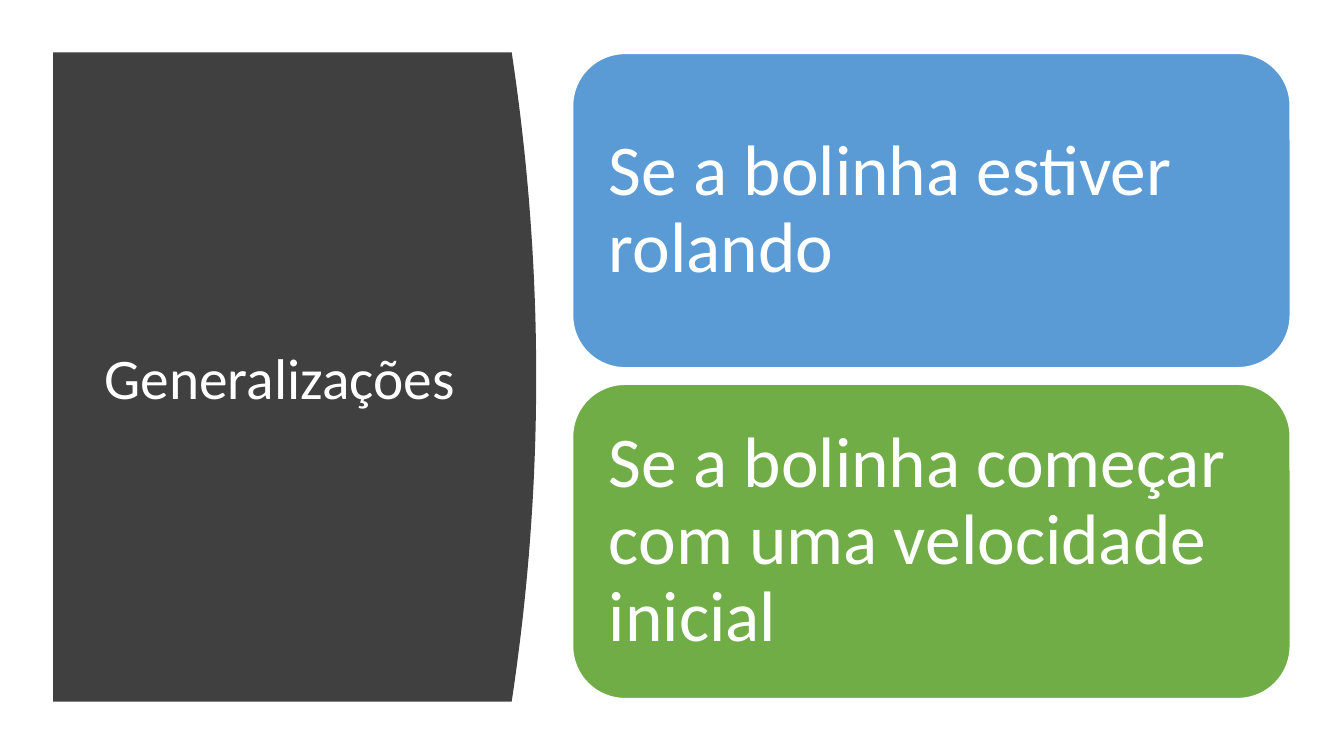
from pptx import Presentation
from pptx.dml.color import RGBColor
from pptx.enum.shapes import MSO_SHAPE
from pptx.enum.text import MSO_ANCHOR, MSO_AUTO_SIZE, PP_ALIGN
from pptx.util import Pt

WHITE = "FFFFFF"
PANEL_GREY = "404040"
CASES = [
    ("Se a bolinha estiver rolando", "5B9BD5"),
    ("Se a bolinha começar com uma velocidade inicial", "70AD47"),
]


def rgb(hex_code):
    """Turn a hex string into a colour."""
    return RGBColor.from_string(hex_code)


def write(frame, text, size, inset_x, inset_y):
    """Set left-aligned white text, centred vertically in its frame."""
    frame.text = text
    frame.word_wrap = True
    frame.auto_size = MSO_AUTO_SIZE.NONE
    frame.vertical_anchor = MSO_ANCHOR.MIDDLE
    frame.margin_left = frame.margin_right = Pt(inset_x)
    frame.margin_top = frame.margin_bottom = Pt(inset_y)
    paragraph = frame.paragraphs[0]
    paragraph.alignment = PP_ALIGN.LEFT
    paragraph.line_spacing = 0.9
    paragraph.font.name = "Calibri"
    paragraph.font.size = Pt(size)
    paragraph.font.color.rgb = rgb(WHITE)


def title_panel(slide, left, top, width, height, bulge=17.5, steps=40):
    """Draw the dark panel with a bowed right edge and put the title on it."""
    straight = left + width - bulge
    bow = [
        (straight + bulge * (1 - (2 * i / steps - 1) ** 2), top + height * i / steps)
        for i in range(steps + 1)
    ]
    outline = slide.shapes.build_freeform(Pt(left), Pt(top))
    outline.add_line_segments(
        [(Pt(x), Pt(y)) for x, y in bow + [(left, top + height)]], close=True
    )
    panel = outline.convert_to_shape()
    panel.shadow.inherit = False
    panel.fill.solid()
    panel.fill.fore_color.rgb = rgb(PANEL_GREY)
    panel.line.fill.background()

    title = slide.shapes.title
    title.left, title.top = Pt(left + 29.5), Pt(top + 42)
    title.width, title.height = Pt(269.5), Pt(height - 79)
    write(title.text_frame, "Generalizações", 41, 7.2, 3.6)
    panel.element.addnext(title.element)


def case_cards(slide, left, top, width, height, gap=11.8):
    """Stack one rounded card per case with equal gaps."""
    card_height = (height - gap * (len(CASES) - 1)) / len(CASES)
    for row, (case, colour) in enumerate(CASES):
        card = slide.shapes.add_shape(
            MSO_SHAPE.ROUNDED_RECTANGLE,
            Pt(left), Pt(top + row * (card_height + gap)), Pt(width), Pt(card_height),
        )
        card.shadow.inherit = False
        card.fill.solid()
        card.fill.fore_color.rgb = rgb(colour)
        card.line.color.rgb = rgb(WHITE)
        card.line.width = Pt(1)
        write(card.text_frame, case, 51, 15, 15)


def main():
    """Build the slide and save it."""
    deck = Presentation()
    deck.slide_width, deck.slide_height = Pt(960), Pt(540)
    slide = deck.slides.add_slide(deck.slide_layouts[5])
    title_panel(slide, 38, 37.4, 345, 463.8)
    case_cards(slide, 409, 38.2, 512.6, 460.8)
    deck.save("out.pptx")


main()
